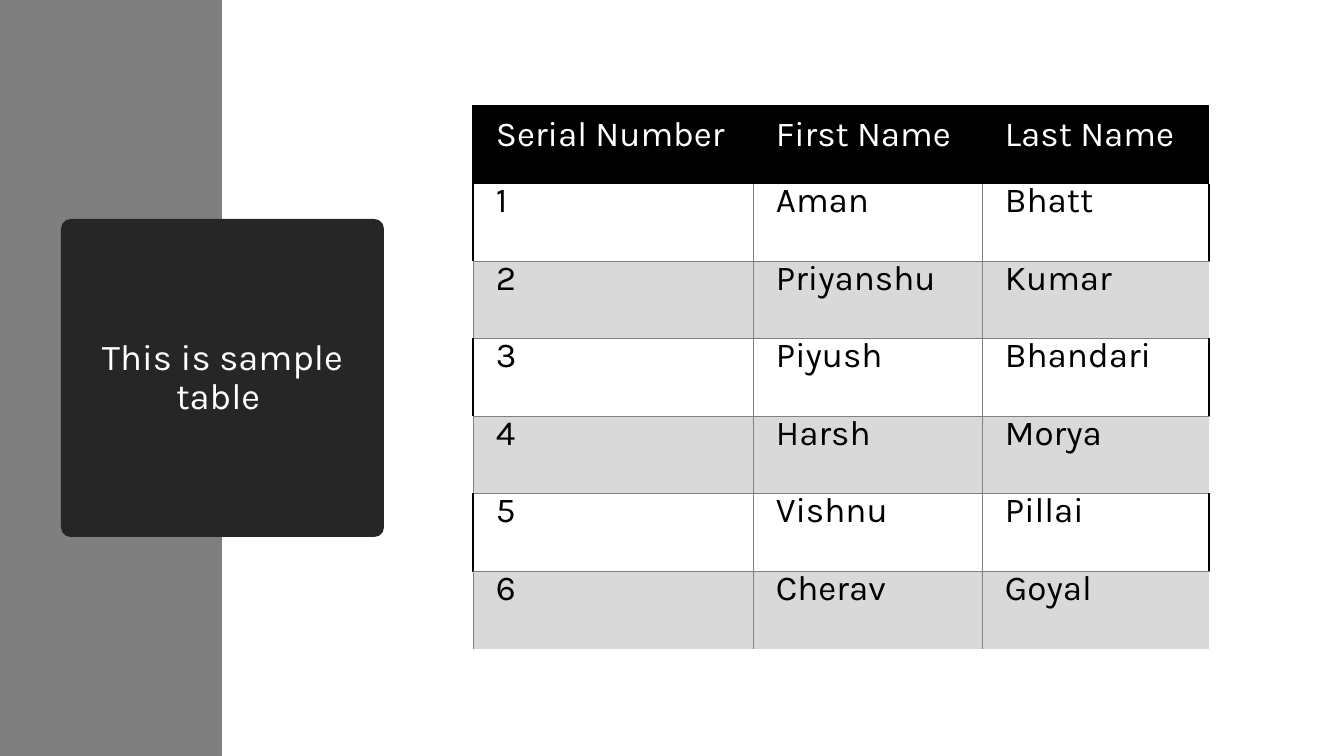
from dataclasses import dataclass

from lxml import etree
from pptx import Presentation, util as u
from pptx.dml.color import RGBColor
from pptx.enum import shapes, text
from pptx.oxml.ns import qn

PX = u.Inches(1) / 100.8
NO_GRID_STYLE = "{2D5ABB26-0587-4C30-8999-92F81FD0307C}"


@dataclass(frozen=True)
class Theme:
    font: str = "Karla"
    title_size: int = 26
    table_size: int = 25
    white: str = "FFFFFF"
    black: str = "000000"
    band: str = "7F7F7F"
    card: str = "262626"
    stripe: str = "D9D9D9"
    rule: str = "808080"


T = Theme()
THICK = (T.black, 1.5)
THIN = (T.rule, 0.5)

HEADER = ["Serial Number", "First Name", "Last Name"]
PEOPLE = [
    ("Aman", "Bhatt"),
    ("Priyanshu", "Kumar"),
    ("Piyush", "Bhandari"),
    ("Harsh", "Morya"),
    ("Vishnu", "Pillai"),
    ("Cherav", "Goyal"),
]
COLUMNS = [280, 229, 227]


def px(n):
    return u.Emu(round(n * PX))


def rgb(color):
    return RGBColor.from_string(color)


def write(tf, words, size, color, align=text.PP_ALIGN.LEFT, spacing=None):
    p = tf.paragraphs[0]
    p.alignment = align
    p.line_spacing = spacing
    r = p.add_run()
    r.text = words
    r.font.name = T.font
    r.font.size = u.Pt(size)
    r.font.color.rgb = rgb(color)


def add_block(s, kind, box, color):
    sp = s.shapes.add_shape(kind, *map(px, box))
    sp.shadow.inherit = False
    sp.fill.solid()
    sp.fill.fore_color.rgb = rgb(color)
    sp.line.fill.background()
    return sp


def add_side_band(s, box):
    add_block(s, shapes.MSO_SHAPE.RECTANGLE, box, T.band)


def add_title_card(s, box):
    sp = add_block(s, shapes.MSO_SHAPE.ROUNDED_RECTANGLE, box, T.card)
    sp.adjustments[0] = 0.03
    tf = sp.text_frame
    tf.word_wrap = True
    tf.vertical_anchor = text.MSO_ANCHOR.MIDDLE
    # The closing em space sets the second line left of centre.
    write(tf, "This is sample table ", T.title_size, T.white,
          align=text.PP_ALIGN.CENTER, spacing=0.9)


def set_borders(cell, borders):
    """Draw the given sides, a dict of L, R, T, B to (colour, points)."""
    tc_pr = cell._tc.get_or_add_tcPr()
    for side in "LRTB":
        if side in borders:
            color, width = borders[side]
            ln = etree.SubElement(tc_pr, qn(f"a:ln{side}"), w=str(u.Pt(width)))
            fill = etree.SubElement(ln, qn("a:solidFill"))
            etree.SubElement(fill, qn("a:srgbClr"), val=color)


def cell_style(row, first, last):
    """Return the fill, text colour and borders of a cell."""
    if row == 0:
        return T.black, T.white, {"T": THICK, **({"L": THICK} if first else {})}
    if row % 2:
        return None, T.black, {"L": THICK if first else THIN,
                               "R": THICK if last else THIN, "B": THIN}
    borders = {"L": THIN, "T": THIN}
    if not last:
        borders["R"] = THIN
    return T.stripe, T.black, borders


def fill_cell(cell, words, row, first, last):
    fill, color, borders = cell_style(row, first, last)
    set_borders(cell, borders)
    if fill:
        cell.fill.solid()
        cell.fill.fore_color.rgb = rgb(fill)
    else:
        cell.fill.background()
    cell.margin_left, cell.margin_right = px(23), px(13)
    cell.margin_top = cell.margin_bottom = px(18)
    cell.vertical_anchor = (text.MSO_ANCHOR.TOP if row
                            else text.MSO_ANCHOR.MIDDLE)
    write(cell.text_frame, words, T.table_size, color, spacing=u.Pt(14.2))


def add_name_table(s, box):
    rows = [HEADER] + [(str(n), *names) for n, names in enumerate(PEOPLE, 1)]
    last = len(COLUMNS) - 1
    tbl = s.shapes.add_table(len(rows), len(COLUMNS), *map(px, box)).table
    tbl.first_row = tbl.horz_banding = False
    tbl._tbl.tblPr.find(qn("a:tableStyleId")).text = NO_GRID_STYLE
    for column, width in zip(tbl.columns, COLUMNS):
        column.width = px(width)
    for i, values in enumerate(rows):
        tbl.rows[i].height = px(box[3] / len(rows))
        for j, words in enumerate(values):
            fill_cell(tbl.cell(i, j), words, i, j == 0, j == last)


def main():
    prs = Presentation()
    prs.slide_width, prs.slide_height = px(1344), px(756)
    s = prs.slides.add_slide(prs.slide_layouts[6])
    add_side_band(s, (0, 0, 222, 756))
    add_title_card(s, (61, 219, 323, 318))
    add_name_table(s, (473, 106, sum(COLUMNS), 543))
    prs.save("out.pptx")


if __name__ == "__main__":
    main()
